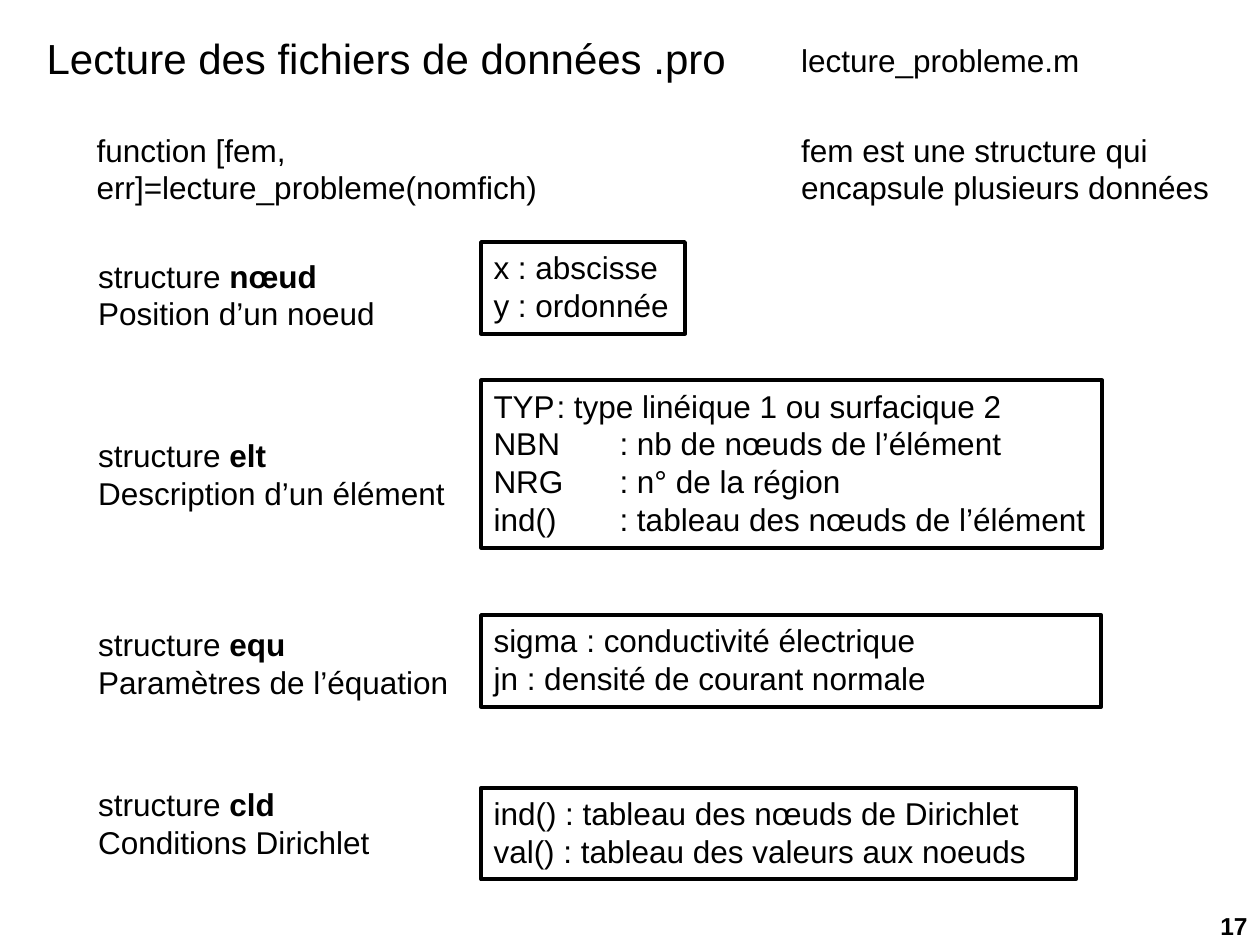
"""Build the slide that describes the data structures read from .pro files."""
from dataclasses import dataclass

from pptx import Presentation
from pptx.dml.color import RGBColor
from pptx.enum.shapes import MSO_SHAPE
from pptx.enum.text import MSO_ANCHOR, MSO_AUTO_SIZE, PP_ALIGN
from pptx.util import Cm, Pt

RECT = MSO_SHAPE.RECTANGLE
TOP = MSO_ANCHOR.TOP
FIT = MSO_AUTO_SIZE.SHAPE_TO_FIT_TEXT
LEFT, RIGHT = PP_ALIGN.LEFT, PP_ALIGN.RIGHT


@dataclass(frozen=True)
class Theme:
    font: str = "Arial"
    ink: RGBColor = RGBColor(0, 0, 0)
    title: float = 24
    body: float = 18
    page: float = 14
    border: float = 2.25


@dataclass(frozen=True)
class Run:
    text: str
    bold: bool = False


@dataclass(frozen=True)
class Text:
    left: float
    top: float
    width: float
    height: float
    lines: list[list[Run]]
    size: float
    wrap: bool = False
    align: PP_ALIGN = LEFT


@dataclass(frozen=True)
class Structure:
    name: str
    meaning: str
    label_top: float
    label_width: float
    box_top: float
    box_width: float
    fields: list[str]
    wrap: bool = False


THEME = Theme()
LABEL_LEFT, BOX_LEFT, ASIDE_LEFT = 1.73, 9.7, 15.9
LINE_HEIGHT, PADDING, BORDER_ROOM = 0.76, 0.26, 0.07

STRUCTURES = [
    Structure("nœud", "Position d’un noeud", 5.05, 6.1, 4.88, 4.11,
              ["x : abscisse", "y : ordonnée"]),
    Structure("elt", "Description d’un élément", 8.66, 7.49, 7.67, 12.52,
              ["TYP\t: type linéique 1 ou surfacique 2",
               "NBN\t: nb de nœuds de l’élément",
               "NRG\t: n° de la région",
               "ind()\t: tableau des nœuds de l’élément"]),
    Structure("equ", "Paramètres de l’équation", 12.47, 7.57, 12.4, 12.5,
              ["sigma : conductivité électrique",
               "jn : densité de courant normale"], wrap=True),
    Structure("cld", "Conditions Dirichlet", 15.7, 5.97, 15.88, 11.99,
              ["ind() : tableau des nœuds de Dirichlet",
               "val() : tableau des valeurs aux noeuds"], wrap=True),
]


def plain(*lines: str) -> list[list[Run]]:
    """Turn strings into lines of one regular run each."""
    return [[Run(line)] for line in lines]


def text_height(count: int) -> float:
    """Return the height in cm of a body text box with count lines."""
    return count * LINE_HEIGHT + PADDING


TEXTS = [
    Text(0.69, 0.53, 14.22, 1.27, plain("Lecture des fichiers de données .pro"),
         THEME.title),
    Text(ASIDE_LEFT, 0.71, 6.12, text_height(1), plain("lecture_probleme.m"),
         THEME.body),
    Text(1.7, 2.51, 13.36, text_height(1),
         plain("function [fem, err]=lecture_probleme(nomfich)"), THEME.body),
    Text(ASIDE_LEFT, 2.51, 8.74, text_height(2),
         plain("fem est une structure qui", "encapsule plusieurs données"),
         THEME.body),
    Text(19.48, 18.24, 5.92, 0.81, [[Run("17", bold=True)]], THEME.page,
         wrap=True, align=RIGHT),
]


def draw_text(s, text: Text, framed: bool = False) -> None:
    """Draw a text, inside a bordered rectangle when framed."""
    frame = [Cm(v) for v in (text.left, text.top, text.width, text.height)]
    if framed:
        sp = s.shapes.add_shape(RECT, *frame)
        sp.shadow.inherit = False
        sp.fill.background()
        sp.line.color.rgb = THEME.ink
        sp.line.width = Pt(THEME.border)
    else:
        sp = s.shapes.add_textbox(*frame)
    tf = sp.text_frame
    tf.word_wrap = text.wrap
    tf.auto_size = FIT
    tf.vertical_anchor = TOP
    for i, line in enumerate(text.lines):
        p = tf.add_paragraph() if i else tf.paragraphs[0]
        p.alignment = text.align
        for run in line:
            r = p.add_run()
            r.text = run.text
            r.font.name = THEME.font
            r.font.size = Pt(text.size)
            r.font.bold = run.bold
            r.font.color.rgb = THEME.ink


def draw_structure(s, item: Structure) -> None:
    """Draw the label of a structure and the box listing its fields."""
    label = [[Run("structure "), Run(item.name, bold=True)], [Run(item.meaning)]]
    draw_text(s, Text(LABEL_LEFT, item.label_top, item.label_width,
                      text_height(2), label, THEME.body))
    height = text_height(len(item.fields)) + BORDER_ROOM
    draw_text(s, Text(BOX_LEFT, item.box_top, item.box_width, height,
                      plain(*item.fields), THEME.body, item.wrap), framed=True)


def main() -> None:
    """Create the presentation and save it."""
    prs = Presentation()
    prs.slide_width, prs.slide_height = Cm(25.4), Cm(19.05)
    s = prs.slides.add_slide(prs.slide_layouts[6])
    for text in TEXTS:
        draw_text(s, text)
    for item in STRUCTURES:
        draw_structure(s, item)
    prs.save("out.pptx")


if __name__ == "__main__":
    main()
